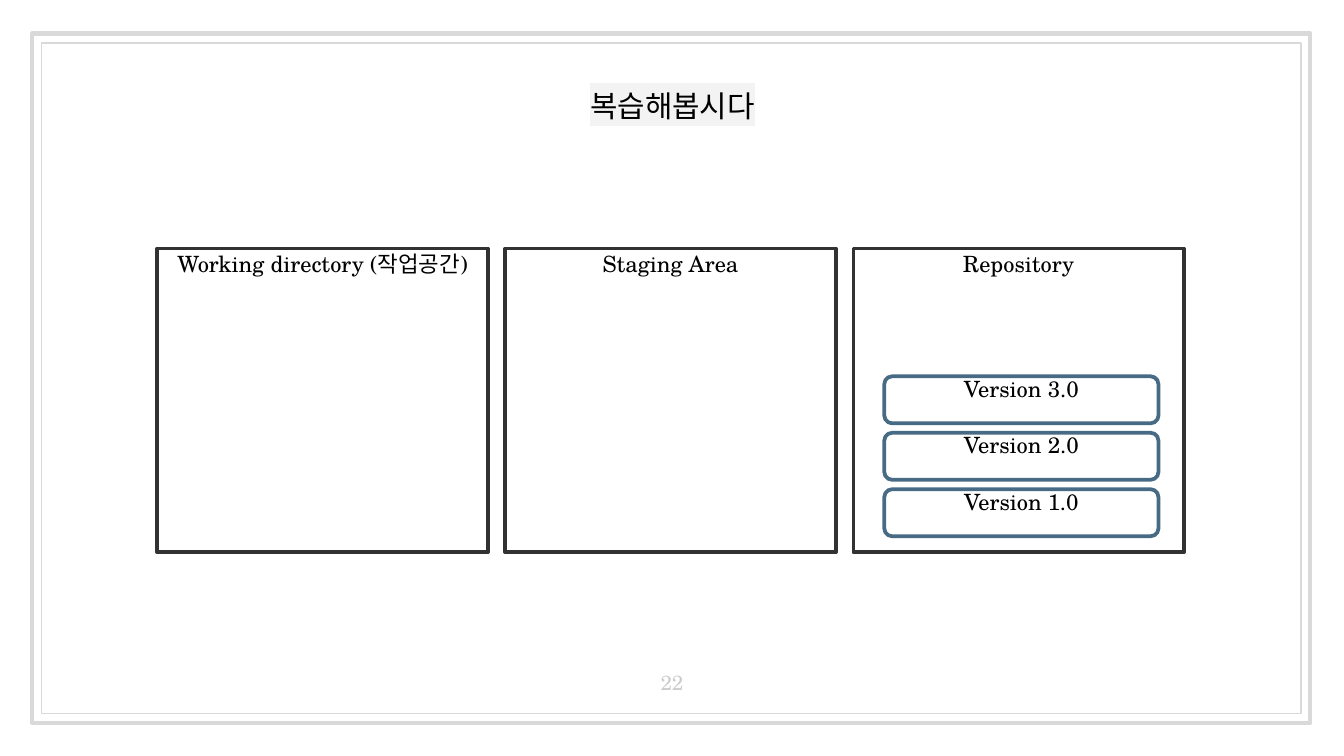
from dataclasses import dataclass

from lxml.etree import SubElement
from pptx import Presentation
from pptx.dml.color import RGBColor
from pptx.enum.shapes import MSO_SHAPE
from pptx.enum.text import MSO_ANCHOR, PP_ALIGN
from pptx.oxml.ns import qn
from pptx.util import Inches, Pt


@dataclass(frozen=True)
class Theme:
    frame: str = "D9D9D9"
    panel: str = "323232"
    version: str = "476B84"
    text: str = "000000"
    highlight: str = "F3F3F3"
    page: str = "CCCCCC"
    title_font: str = "Cambria"
    body_font: str = "TeX Gyre Schola"
    title_size: int = 16
    body_size: int = 12
    page_size: int = 11


THEME = Theme()
PANELS = [
    ("Working directory (작업공간)", []),
    ("Staging Area", []),
    ("Repository", ["Version 3.0", "Version 2.0", "Version 1.0"]),
]


def add_outline(shapes, kind, box, color, weight):
    outline = shapes.add_shape(kind, *map(Inches, box))
    outline.shadow.inherit = False
    outline.fill.background()
    outline.line.color.rgb = RGBColor.from_string(color)
    outline.line.width = Pt(weight)


def add_label(shapes, box, text, size=THEME.body_size, font=THEME.body_font,
              color=THEME.text, anchor=MSO_ANCHOR.TOP, space_before=0):
    frame = shapes.add_textbox(*map(Inches, box)).text_frame
    frame.word_wrap = True
    frame.vertical_anchor = anchor
    frame.margin_left = frame.margin_right = Inches(0.1)
    frame.margin_top = frame.margin_bottom = Inches(0.1)
    paragraph = frame.paragraphs[0]
    paragraph.alignment = PP_ALIGN.CENTER
    paragraph.space_before = Pt(space_before)
    run = paragraph.add_run()
    run.text = text
    run.font.size = Pt(size)
    run.font.color.rgb = RGBColor.from_string(color)
    run.font.name = font
    return run


def highlight(run, color):
    properties = run.font._element
    marker = SubElement(properties, qn("a:highlight"))
    SubElement(marker, qn("a:srgbClr")).set("val", color)
    properties.find(qn("a:solidFill")).addnext(marker)


def add_page_frame(shapes, box):
    """Thick outer border with a thin one inside it."""
    left, top, width, height = box
    gap = 0.07
    add_outline(shapes, MSO_SHAPE.RECTANGLE, box, THEME.frame, 2.25)
    inner = (left + gap, top + gap, width - 2 * gap, height - 2 * gap)
    add_outline(shapes, MSO_SHAPE.RECTANGLE, inner, THEME.frame, 0.75)


def add_title(shapes, box, text):
    run = add_label(shapes, box, text, THEME.title_size, THEME.title_font,
                    anchor=MSO_ANCHOR.MIDDLE)
    highlight(run, THEME.highlight)


def add_version(shapes, box, name):
    left, top, width, _ = box
    add_outline(shapes, MSO_SHAPE.ROUNDED_RECTANGLE, box, THEME.version, 2)
    label_width = 1.35
    label_left = left + (width - label_width) / 2
    add_label(shapes, (label_left, top - 0.11, label_width, 0.5), name,
              space_before=6)


def add_panel(shapes, box, heading, versions):
    """Grouped panel: heading at the top, versions stacked below."""
    left, top, width, height = box
    group = shapes.add_group_shape().shapes
    add_outline(group, MSO_SHAPE.RECTANGLE, box, THEME.panel, 2)
    overhang = 0.24
    add_label(group, (left - overhang, top - 0.09, width + 2 * overhang, 0.9),
              heading, space_before=6)
    # The oldest version is laid down first, at the bottom of the stack
    for row, name in reversed(list(enumerate(versions))):
        add_version(group, (left + 0.23, top + 0.95 + row * 0.42, 2.04, 0.35),
                    name)


def add_panels(shapes, box):
    left, top, width, height = box
    gap = 0.13
    panel_width = (width - gap * (len(PANELS) - 1)) / len(PANELS)
    for column, (heading, versions) in enumerate(PANELS):
        panel_left = left + column * (panel_width + gap)
        add_panel(shapes, (panel_left, top, panel_width, height),
                  heading, versions)


def main():
    deck = Presentation()
    # 16:9 page
    deck.slide_width = Inches(10)
    deck.slide_height = deck.slide_width * 9 // 16
    shapes = deck.slides.add_slide(deck.slide_layouts[6]).shapes

    add_page_frame(shapes, (0.24, 0.25, 9.51, 5.13))
    add_title(shapes, (0.43, 0.37, 9.15, 0.83), "복습해봅시다")
    add_label(shapes, (4.7, 4.83, 0.6, 0.43), "22", THEME.page_size,
              color=THEME.page, anchor=MSO_ANCHOR.BOTTOM)
    add_panels(shapes, (1.17, 1.85, 7.64, 2.26))

    deck.save("out.pptx")


if __name__ == "__main__":
    main()
